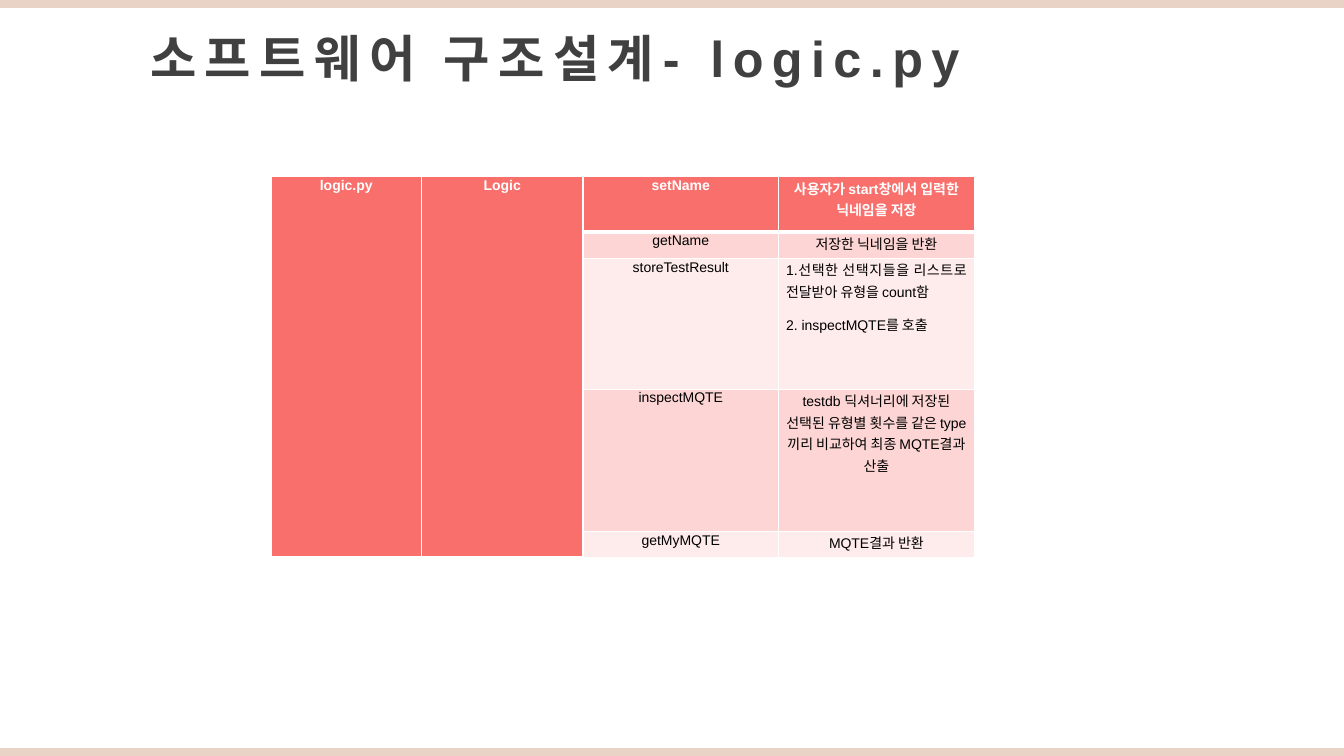
from lxml.etree import SubElement
from pptx import Presentation
from pptx.dml.color import RGBColor
from pptx.enum.shapes import MSO_SHAPE as Shape
from pptx.enum.text import MSO_ANCHOR as Anchor, MSO_AUTO_SIZE as AutoSize, PP_ALIGN as Align
from pptx.oxml.ns import qn
from pptx.util import Cm, Pt

COLORS = {
    "band": "E9D3C6", "title": "404040", "header": "F86F6C",
    "odd": "FCD5D4", "even": "FEEBEB", "white": "FFFFFF", "black": "000000",
}
FONT = "Arial"
SLIDE_WIDTH, SLIDE_HEIGHT, BAND_HEIGHT = 33.87, 19.05, 0.2
COLUMN_WIDTHS = [3.79, 4.07, 4.93, 4.93]
ROW_HEIGHTS = [1.4, 0.66, 3.3, 3.58, 0.66]
MERGED_COLUMNS = ["logic.py", "Logic"]
METHODS = [
    ("setName", [("사용자가 start창에서 입력한 닉네임을 저장", Align.CENTER)]),
    ("getName", [("저장한 닉네임을 반환", Align.CENTER)]),
    ("storeTestResult", [
        ("1.선택한 선택지들을 리스트로 전달받아 유형을 count함", Align.JUSTIFY),
        ("2. inspectMQTE를 호출", Align.LEFT),
    ]),
    ("inspectMQTE", [
        ("testdb 딕셔너리에 저장된 선택된 유형별 횟수를 같은 type끼리 비교하여 최종 MQTE결과 산출", Align.CENTER),
    ]),
    ("getMyMQTE", [("MQTE결과 반환", Align.CENTER)]),
]


def color(name):
    return RGBColor.from_string(COLORS[name])


def add_run(paragraph, text, size, color_name, bold):
    run = paragraph.add_run()
    run.text = text
    run.font.name = FONT
    run.font.size = Pt(size)
    run.font.bold = bold
    run.font.color.rgb = color(color_name)
    return run


def add_band(slide, left, top, width, height):
    band = slide.shapes.add_shape(Shape.RECTANGLE, Cm(left), Cm(top), Cm(width), Cm(height))
    band.shadow.inherit = False
    band.fill.solid()
    band.fill.fore_color.rgb = color("band")
    band.line.fill.background()


def add_title(slide, left, top, width, height):
    title = slide.shapes.title
    title.left, title.top, title.width, title.height = Cm(left), Cm(top), Cm(width), Cm(height)
    frame = title.text_frame
    frame.word_wrap = False
    frame.auto_size = AutoSize.SHAPE_TO_FIT_TEXT
    frame.vertical_anchor = Anchor.TOP
    paragraph = frame.paragraphs[0]
    paragraph.alignment = Align.LEFT
    run = add_run(paragraph, "소프트웨어 구조설계- logic.py", 36, "title", True)
    run.font._element.set("spc", "600")
    run.font._element.set("kern", "0")


def set_borders(cell, top=1, bottom=1):
    properties = cell._tc.get_or_add_tcPr()
    widths = {"L": 1, "R": 1, "T": top, "B": bottom}
    for position, (side, width) in enumerate(widths.items()):
        line = SubElement(properties, qn(f"a:ln{side}"), w=str(Pt(width)))
        fill = SubElement(line, qn("a:solidFill"))
        SubElement(fill, qn("a:srgbClr"), val=COLORS["white"])
        properties.insert(position, line)


def fill_cell(cell, paragraphs, row):
    header = row == 0
    cell.fill.solid()
    cell.fill.fore_color.rgb = color("header" if header else "odd" if row % 2 else "even")
    cell.margin_left = cell.margin_right = Cm(0.19)
    cell.margin_top = cell.margin_bottom = 0
    set_borders(cell, top=3 if row == 1 else 1, bottom=3 if header else 1)
    for index, (text, alignment) in enumerate(paragraphs):
        frame = cell.text_frame
        paragraph = frame.add_paragraph() if index else frame.paragraphs[0]
        paragraph.alignment = alignment
        paragraph.line_spacing = 1.07
        paragraph.space_after = Pt(8)
        add_run(paragraph, text, 10, "white" if header else "black", header)


def add_method_table(slide, left, top):
    table = slide.shapes.add_table(
        len(ROW_HEIGHTS), len(COLUMN_WIDTHS), Cm(left), Cm(top),
        Cm(sum(COLUMN_WIDTHS)), Cm(sum(ROW_HEIGHTS)),
    ).table
    for column, width in zip(table.columns, COLUMN_WIDTHS):
        column.width = Cm(width)
    for row, height in zip(table.rows, ROW_HEIGHTS):
        row.height = Cm(height)
    for column, label in enumerate(MERGED_COLUMNS):
        table.cell(0, column).merge(table.cell(len(METHODS) - 1, column))
        fill_cell(table.cell(0, column), [(label, Align.CENTER)], 0)
        for row in range(1, len(METHODS)):
            set_borders(table.cell(row, column))
    for row, (method, description) in enumerate(METHODS):
        fill_cell(table.cell(row, 2), [(method, Align.CENTER)], row)
        fill_cell(table.cell(row, 3), description, row)


def main():
    presentation = Presentation()
    presentation.slide_width, presentation.slide_height = Cm(SLIDE_WIDTH), Cm(SLIDE_HEIGHT)
    slide = presentation.slides.add_slide(presentation.slide_layouts[5])
    for top in (0, SLIDE_HEIGHT - BAND_HEIGHT):
        add_band(slide, 0, top, SLIDE_WIDTH, BAND_HEIGHT)
    add_title(slide, 3.53, 0.56, 22.3, 1.8)
    add_method_table(slide, 6.83, 4.45)
    presentation.save("out.pptx")


if __name__ == "__main__":
    main()
